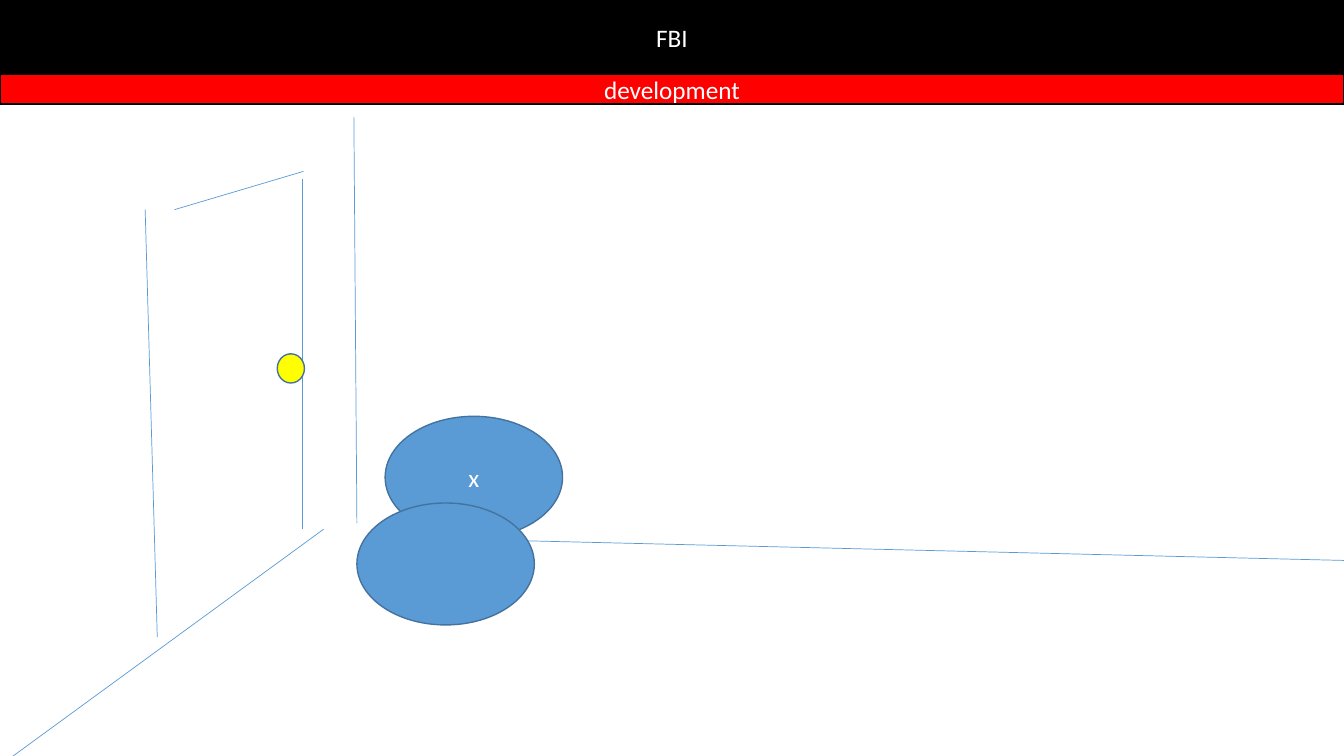
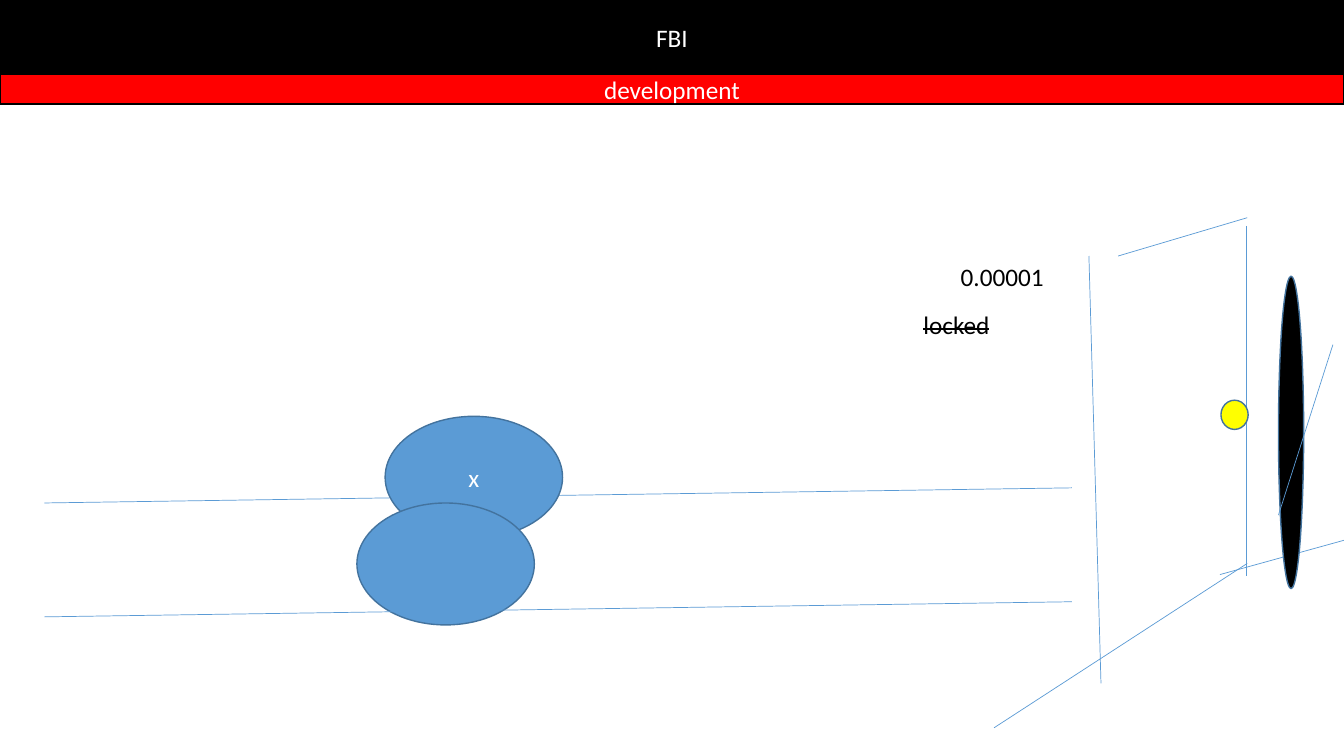
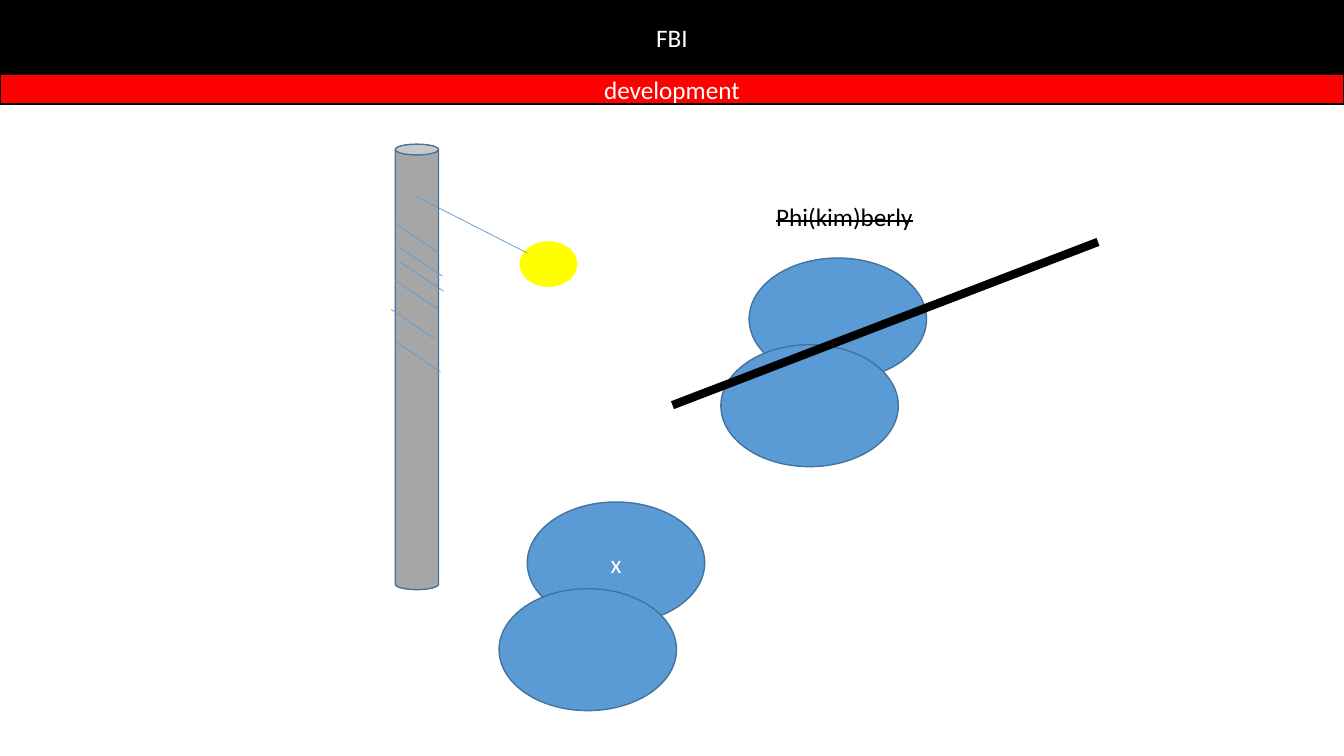
from dataclasses import dataclass

import pptx
import pptx.dml.color
import pptx.enum.shapes
import pptx.enum.text
import pptx.oxml.xmlchemy
import pptx.presentation
import pptx.slide
import pptx.text.text
import pptx.util
from pptx.util import Inches

Preset = pptx.enum.shapes.MSO_SHAPE


@dataclass(frozen=True)
class Theme:
    black: str = "000000"
    white: str = "FFFFFF"
    red: str = "FF0000"
    blue: str = "5B9BD5"
    outline: str = "43739E"
    yellow: str = "FFFF00"
    grey: str = "A6A6A6"
    font: str = "Calibri"
    text_size: float = 18
    thin: float = 0.5
    border: float = 1
    thick: float = 6


THEME = Theme()
SLIDE_WIDTH, SLIDE_HEIGHT = 13.33, 7.5


@dataclass(frozen=True)
class Box:
    left: float
    top: float
    width: float
    height: float

    def emu(self) -> tuple:
        return tuple(Inches(v) for v in (self.left, self.top, self.width, self.height))


@dataclass(frozen=True)
class Stroke:
    x1: float
    y1: float
    x2: float
    y2: float

    def moved(self, dx: float, dy: float) -> "Stroke":
        return Stroke(self.x1 + dx, self.y1 + dy, self.x2 + dx, self.y2 + dy)


@dataclass(frozen=True)
class Band:
    text: str
    top: float
    height: float
    fill: str


BANDS = (
    Band("FBI", 0, 0.74, THEME.black),
    Band("development", 0.74, 0.29, THEME.red),
)

# Door edges and knob, measured from the top of the left edge
DOOR_EDGES = (
    Stroke(0, 0, 0.12, 4.24),
    Stroke(0.29, 0, 1.57, -0.38),
    Stroke(1.56, -0.3, 1.56, 3.17),
)
KNOB = Box(1.31, 1.43, 0.27, 0.29)

# A figure is two overlapping ellipses
FIGURE_WIDTH, FIGURE_HEIGHT = 1.76, 1.21
BODY_DX, BODY_DY = -0.28, 0.86


def rgb(colour: str) -> pptx.dml.color.RGBColor:
    return pptx.dml.color.RGBColor.from_string(colour)


def write(frame: pptx.text.text.TextFrame, text: str, *, colour: str = THEME.black,
          centred: bool = False, struck: bool = False) -> None:
    paragraph = frame.paragraphs[0]
    if centred:
        paragraph.alignment = pptx.enum.text.PP_ALIGN.CENTER
        frame.vertical_anchor = pptx.enum.text.MSO_ANCHOR.MIDDLE
    run = paragraph.add_run()
    run.text = text
    run.font.name = THEME.font
    run.font.size = pptx.util.Pt(THEME.text_size)
    run.font.color.rgb = rgb(colour)
    if struck:
        run.font._element.set("strike", "sngStrike")


def draw_shape(slide: pptx.slide.Slide, preset: Preset, box: Box, fill: str, *,
               outline: str = THEME.outline, text: str = "") -> None:
    shape = slide.shapes.add_shape(preset, *box.emu())
    shape.shadow.inherit = False
    shape.fill.solid()
    shape.fill.fore_color.rgb = rgb(fill)
    shape.line.color.rgb = rgb(outline)
    shape.line.width = pptx.util.Pt(THEME.border)
    if text:
        write(shape.text_frame, text, colour=THEME.white, centred=True)


def draw_line(slide: pptx.slide.Slide, stroke: Stroke, *, colour: str = THEME.blue,
              width: float = THEME.thin) -> None:
    ends = (Inches(v) for v in (stroke.x1, stroke.y1, stroke.x2, stroke.y2))
    line = slide.shapes.add_connector(pptx.enum.shapes.MSO_CONNECTOR.STRAIGHT, *ends)
    line.line.color.rgb = rgb(colour)
    line.line.width = pptx.util.Pt(width)
    line._element.spPr.append(pptx.oxml.xmlchemy.OxmlElement("a:effectLst"))


def draw_label(slide: pptx.slide.Slide, box: Box, text: str, *, struck: bool = False) -> None:
    frame = slide.shapes.add_textbox(*box.emu()).text_frame
    frame.word_wrap = False
    frame.auto_size = pptx.enum.text.MSO_AUTO_SIZE.SHAPE_TO_FIT_TEXT
    write(frame, text, struck=struck)


def draw_figure(slide: pptx.slide.Slide, left: float, top: float, *, face: str = "") -> None:
    for dx, dy, text in ((0, 0, face), (BODY_DX, BODY_DY, "")):
        box = Box(left + dx, top + dy, FIGURE_WIDTH, FIGURE_HEIGHT)
        draw_shape(slide, Preset.OVAL, box, THEME.blue, text=text)


def draw_door(slide: pptx.slide.Slide, left: float, top: float) -> None:
    for edge in DOOR_EDGES:
        draw_line(slide, edge.moved(left, top))
    knob = Box(left + KNOB.left, top + KNOB.top, KNOB.width, KNOB.height)
    draw_shape(slide, Preset.OVAL, knob, THEME.yellow)


def add_scene(deck: pptx.presentation.Presentation) -> pptx.slide.Slide:
    slide = deck.slides.add_slide(deck.slide_layouts[6])
    for band in BANDS:
        draw_shape(slide, Preset.RECTANGLE, Box(0, band.top, SLIDE_WIDTH, band.height),
                   band.fill, outline=THEME.black, text=band.text)
    return slide


def build_room(deck: pptx.presentation.Presentation) -> None:
    slide = add_scene(deck)
    # Wall corner and floor edges
    for edge in (Stroke(3.51, 1.16, 3.54, 5.19),
                 Stroke(3.21, 5.25, 0.13, 7.5),
                 Stroke(3.75, 5.33, SLIDE_WIDTH, 5.56)):
        draw_line(slide, edge)
    draw_door(slide, 1.44, 2.08)
    draw_figure(slide, 3.82, 4.13, face="x")


def build_locked_door(deck: pptx.presentation.Presentation) -> None:
    slide = add_scene(deck)
    # Path and floor edges
    path_edge = Stroke(10.63, 4.84, 0.44, 4.99)
    for edge in (path_edge,
                 Stroke(12.37, 5.59, 9.86, 7.22),
                 Stroke(12.1, 5.7, SLIDE_WIDTH, 5.36)):
        draw_line(slide, edge)
    draw_door(slide, 10.8, 2.54)
    draw_figure(slide, 3.82, 4.13, face="x")
    draw_line(slide, path_edge.moved(0, 1.13))
    # Lock notes and the dark opening
    draw_label(slide, Box(9.06, 3.02, 0.87, 0.4), "locked", struck=True)
    draw_shape(slide, Preset.OVAL, Box(12.68, 2.74, 0.25, 3.1), THEME.black)
    draw_label(slide, Box(9.43, 2.54, 1.03, 0.4), "0.00001")
    draw_line(slide, Stroke(12.68, 5.11, 13.22, 3.42))


def build_pole(deck: pptx.presentation.Presentation) -> None:
    slide = add_scene(deck)
    draw_figure(slide, 5.23, 4.98, face="x")
    # Pole with a ball on a string and slanted windings
    draw_shape(slide, Preset.CAN, Box(3.92, 1.43, 0.43, 4.42), THEME.grey)
    draw_shape(slide, Preset.OVAL, Box(5.16, 2.4, 0.56, 0.44), THEME.yellow,
               outline=THEME.yellow)
    draw_line(slide, Stroke(4.13, 1.95, 5.23, 2.51))
    winding = Stroke(0, 0, 0.43, 0.29)
    for x, y in ((3.92, 2.22), (3.96, 2.45), (3.97, 2.6),
                 (3.92, 2.78), (3.88, 3.07), (3.94, 3.4)):
        draw_line(slide, winding.moved(x, y))
    # Crossed-out figure
    draw_figure(slide, 7.43, 2.56)
    draw_line(slide, Stroke(6.67, 4.02, 10.89, 2.4), colour=THEME.black, width=THEME.thick)
    draw_label(slide, Box(7.6, 1.95, 1.57, 0.4), "Phi(kim)berly", struck=True)


def main() -> None:
    deck = pptx.Presentation()
    deck.slide_width, deck.slide_height = Inches(SLIDE_WIDTH), Inches(SLIDE_HEIGHT)
    for build in (build_room, build_locked_door, build_pole):
        build(deck)
    deck.save("out.pptx")


if __name__ == "__main__":
    main()
